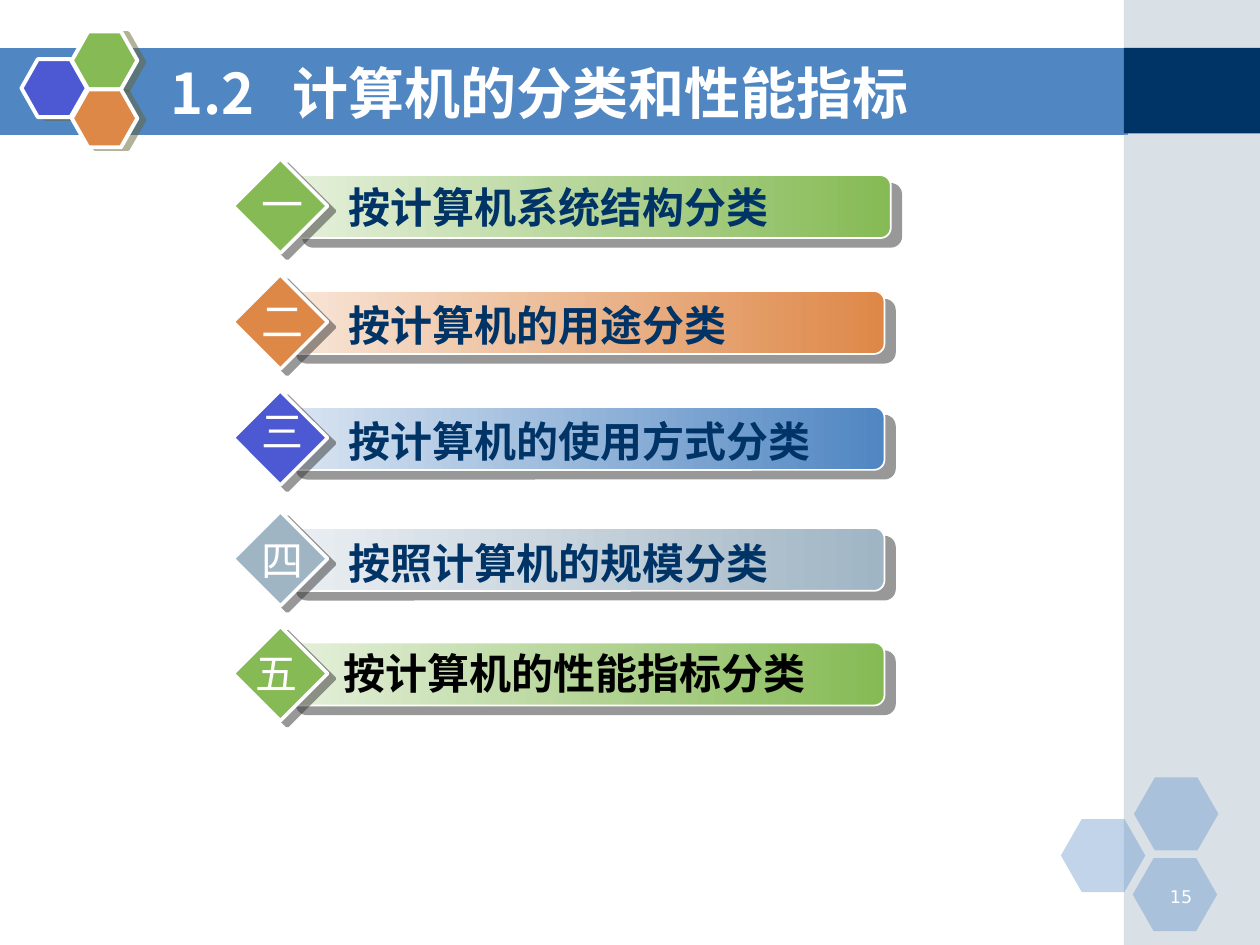
from lxml.etree import SubElement
from pptx import Presentation
from pptx.dml.color import RGBColor
from pptx.enum.shapes import MSO_SHAPE
from pptx.enum.text import MSO_ANCHOR, PP_ALIGN
from pptx.oxml.ns import qn
from pptx.util import Inches, Pt

WHITE = RGBColor(0xFF, 0xFF, 0xFF)
BLACK = RGBColor(0x00, 0x00, 0x00)
NAVY = RGBColor(0x00, 0x33, 0x66)
BLUE = RGBColor(0x50, 0x86, 0xC2)
INDIGO = RGBColor(0x4C, 0x59, 0xD2)
GREEN = RGBColor(0x85, 0xBA, 0x54)
ORANGE = RGBColor(0xDE, 0x88, 0x48)
GREY = RGBColor(0xA0, 0xB5, 0xC4)
PALE_GREEN = RGBColor(0xE5, 0xF0, 0xDB)
PALE_ORANGE = RGBColor(0xF8, 0xE6, 0xD8)
PALE_BLUE = RGBColor(0xDA, 0xE5, 0xF2)
PALE_GREY = RGBColor(0xEB, 0xEF, 0xF3)
SHADOW = RGBColor(0x33, 0x33, 0x33)
OLIVE = RGBColor(0x66, 0x66, 0x33)
CJK = "Noto Sans CJK SC"


def add_shape(s, kind, box, color, line=None, adj=None, alpha=None):
    """Add a filled preset shape with an optional white outline."""
    sp = s.shapes.add_shape(kind, *map(Inches, box))
    sp.shadow.inherit = False
    if adj is not None:
        sp.adjustments[0] = adj
    sp.fill.solid()
    sp.fill.fore_color.rgb = color
    if alpha is not None:
        clr = sp.element.spPr.find(qn("a:solidFill"))[0]
        SubElement(clr, qn("a:alpha"), val=str(alpha * 1000))
    if line is None:
        sp.line.fill.background()
    else:
        sp.line.color.rgb = WHITE
        sp.line.width = Pt(line)
    return sp


def add_shadow(sp, color, dist, angle):
    """Give a shape a hard, half-transparent shadow."""
    effects = sp.element.spPr.find(qn("a:effectLst"))
    shadow = SubElement(effects, qn("a:outerShdw"), blurRad="0", dist=str(Pt(dist)),
                        dir=str(angle * 60000), algn="ctr", rotWithShape="0")
    clr = SubElement(shadow, qn("a:srgbClr"), val=str(color))
    SubElement(clr, qn("a:alpha"), val="50000")


def format_text(p, size, color, bold=False, name=CJK, align=PP_ALIGN.LEFT):
    """Set the font and alignment of a paragraph."""
    p.alignment = align
    font = p.font
    font.size, font.bold, font.name = Pt(size), bold, name
    font.color.rgb = color
    SubElement(p._p.pPr.find(qn("a:defRPr")), qn("a:ea"), typeface=name)


def add_text(s, box, text, size, color, indent=0, wrap=True, **style):
    """Add a one-paragraph text box."""
    tf = s.shapes.add_textbox(*map(Inches, box)).text_frame
    tf.word_wrap = wrap
    tf.margin_left = Inches(0.1 + indent)
    p = tf.paragraphs[0]
    p.text = text
    format_text(p, size, color, **style)


def add_side_panel(s, left, width):
    """Draw the pale right panel with its dark header block."""
    add_shape(s, MSO_SHAPE.RECTANGLE, (left, 0, width, 7.5), GREY, alpha=40)
    add_shape(s, MSO_SHAPE.RECTANGLE, (left, 0.38, width, 0.68), NAVY)


def add_band(s, left, top, width, height):
    """Draw the title band as a freeform."""
    x, y, right, bottom = map(Inches, (left, top, left + width, top + height))
    builder = s.shapes.build_freeform(x, y)
    builder.add_line_segments([(right, y), (right, bottom), (x, bottom)])
    sp = builder.convert_to_shape()
    sp.shadow.inherit = False
    sp.fill.solid()
    sp.fill.fore_color.rgb = BLUE
    sp.line.fill.background()


def add_page_cluster(s, left, top):
    """Draw the pale hexagons and the page number."""
    for dx, dy in ((0, 0.33), (0.58, 0), (0.57, 0.64)):
        add_shape(s, MSO_SHAPE.HEXAGON, (left + dx, top + dy, 0.67, 0.58), BLUE,
                  adj=0.286, alpha=35)
    add_text(s, (left + 0.64, top + 0.81, 0.5, 0.25), "15", 10, WHITE,
             name="DejaVu Sans", align=PP_ALIGN.RIGHT)


def add_emblem(s, left, top):
    """Draw the three coloured hexagons beside the title."""
    for dx, dy, color in ((0, 0.22, INDIGO), (0.4, 0, GREEN), (0.4, 0.46, ORANGE)):
        sp = add_shape(s, MSO_SHAPE.HEXAGON, (left + dx, top + dy, 0.52, 0.46), color,
                       line=2.25, adj=0.283)
        add_shadow(sp, OLIVE, 4.1, 14)


def set_title(s, box, number, text):
    """Fill the title placeholder and bring it above the band."""
    title = s.shapes.title
    title.left, title.top, title.width, title.height = map(Inches, box)
    s.shapes.element.append(title.element)
    tf = title.text_frame
    tf.vertical_anchor = MSO_ANCHOR.MIDDLE
    p = tf.paragraphs[0]
    p.text = f"{number}\t{text}"
    tabs = SubElement(p._p.get_or_add_pPr(), qn("a:tabLst"))
    SubElement(tabs, qn("a:tab"), pos=str(Inches(0.97)), algn="l")
    format_text(p, 32, WHITE, bold=True)


def add_item(s, left, top, numeral, label, pale, color, marker, text_color=NAVY,
             bar_dx=0.42, label_at=(0.67, 0.02), numeral_at=(0.13, -0.01)):
    """Draw one agenda row: gradient bar, diamond, label and numeral."""
    bar = add_shape(s, MSO_SHAPE.ROUNDED_RECTANGLE, (left + bar_dx, top, 4.75, 0.5),
                    color, line=1, adj=0.167)
    bar.fill.gradient()
    bar.fill.gradient_angle = 0
    for stop, stop_color in zip(bar.fill.gradient_stops, (pale, color)):
        stop.color.rgb = stop_color
    add_shadow(bar, SHADOW, 7.8, 40)
    diamond = add_shape(s, MSO_SHAPE.DIAMOND, (left, top - 0.13, 0.75, 0.75), marker, line=2)
    add_shadow(diamond, SHADOW, 5, 37)
    dx, dy = label_at
    add_text(s, (left + dx, top + dy, 4.4, 0.5), label, 24, text_color, indent=0.15, bold=True)
    dx, dy = numeral_at
    add_text(s, (left + dx, top + dy, 0.53, 0.5), numeral, 24, WHITE, wrap=False)


def add_agenda(s, left):
    """Draw the five agenda rows."""
    add_item(s, left, 1.39, "一", "按计算机系统结构分类", PALE_GREEN, GREEN, GREEN,
             bar_dx=0.47, label_at=(0.67, 0), numeral_at=(0.13, -0.02))
    add_item(s, left, 2.31, "二", "按计算机的用途分类", PALE_ORANGE, ORANGE, ORANGE)
    add_item(s, left, 3.23, "三", "按计算机的使用方式分类", PALE_BLUE, BLUE, INDIGO,
             numeral_at=(0.13, -0.06))
    add_item(s, left, 4.19, "四", "按照计算机的规模分类", PALE_GREY, GREY, GREY,
             label_at=(0.67, 0.03), numeral_at=(0.13, 0))
    add_item(s, left, 5.1, "五", "按计算机的性能指标分类", PALE_GREEN, GREEN, GREEN,
             text_color=BLACK, label_at=(0.63, -0.01), numeral_at=(0.08, -0.01))


def main():
    """Build and save the slide."""
    prs = Presentation()
    prs.slide_width, prs.slide_height = Inches(10), Inches(7.5)
    s = prs.slides.add_slide(prs.slide_layouts[5])
    add_band(s, 0, 0.38, 8.95, 0.69)
    add_side_panel(s, 8.92, 1.08)
    add_page_cluster(s, 8.42, 6.17)
    add_emblem(s, 0.17, 0.25)
    set_title(s, (1.25, 0.42, 7.33, 0.62), "1.2", "计算机的分类和性能指标")
    add_agenda(s, 1.85)
    prs.save("out.pptx")


if __name__ == "__main__":
    main()
